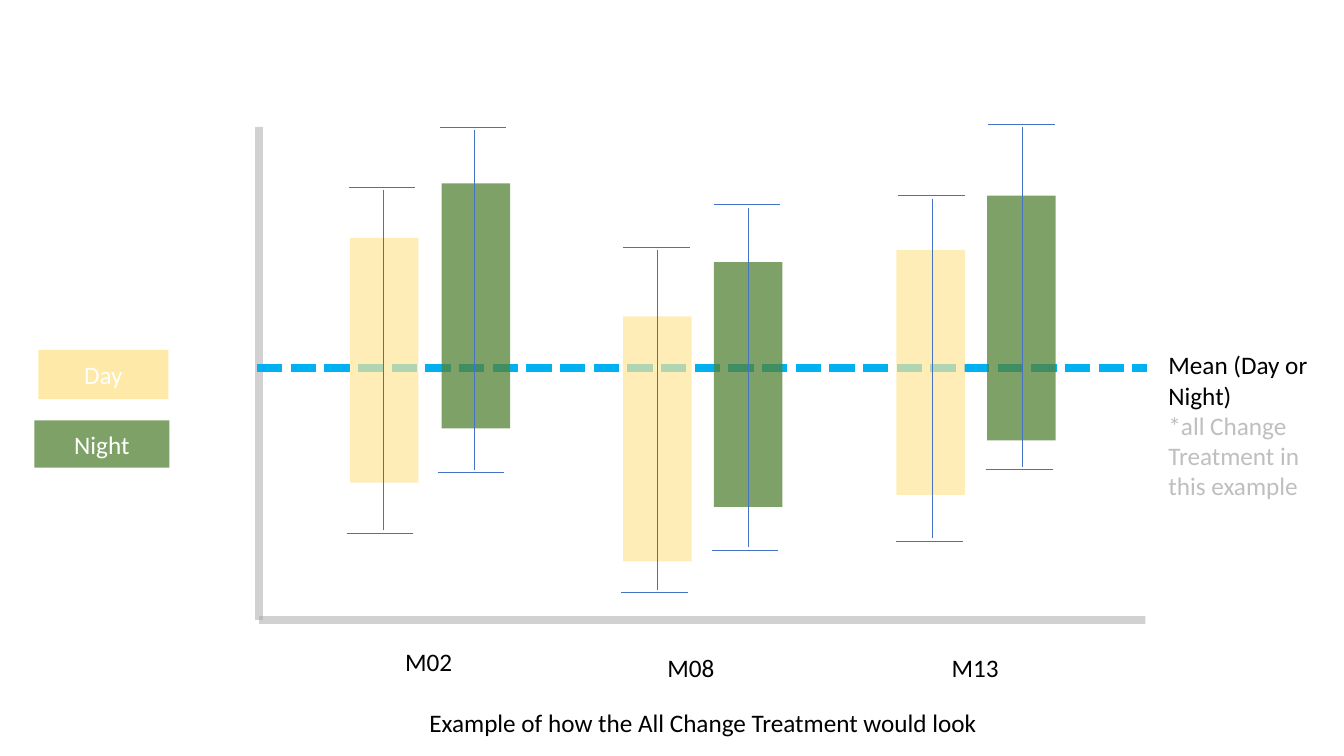
import dataclasses

import pptx
import pptx.dml.color
import pptx.enum.dml
import pptx.enum.shapes
import pptx.enum.text
import pptx.oxml
import pptx.oxml.ns
import pptx.util
from pptx.util import Inches


@dataclasses.dataclass(frozen=True)
class Theme:
    font: str = "Calibri"
    size: int = 18
    text: str = "000000"
    muted: str = "BFBFBF"
    inverse: str = "FFFFFF"
    day: str = "FFE699"
    night: str = "548235"
    axis: str = "A6A6A6"
    mean: str = "00B0F0"
    whisker: str = "4472C4"
    axis_width: float = 5.5
    mean_width: float = 6
    whisker_width: float = 0.5


THEME = Theme()
BAR_WIDTH, BAR_HEIGHT = 0.68, 2.43
WHISKER_HEIGHT = 3.37

# Bar left, bar top, colour, opacity, whisker centre, whisker top
BARS = [
    (3.47, 2.36, THEME.day, 69, 3.8, 1.89),
    (4.38, 1.82, THEME.night, 75, 4.7, 1.29),
    (6.18, 3.14, THEME.day, 69, 6.52, 2.48),
    (7.08, 2.6, THEME.night, 75, 7.42, 2.06),
    (8.89, 2.48, THEME.day, 69, 9.25, 1.97),
    (9.79, 1.94, THEME.night, 75, 10.14, 1.26),
]
MONTH_LABELS = [("M02", 3.92, 6.36), ("M08", 6.52, 6.42), ("M13", 9.34, 6.42)]


def rgb(color):
    return pptx.dml.color.RGBColor.from_string(color)


def set_opacity(sp, percent):
    """Apply opacity to every colour in the shape's own properties."""
    for color in sp.element.spPr.iter(pptx.oxml.ns.qn("a:srgbClr")):
        alpha = color.makeelement(pptx.oxml.ns.qn("a:alpha"), {"val": str(percent * 1000)})
        color.append(alpha)


def write(p, text, color=THEME.text, size=THEME.size, align=None):
    p.alignment = align
    r = p.add_run()
    r.text = text
    r.font.name = THEME.font
    r.font.size = pptx.util.Pt(size)
    r.font.color.rgb = rgb(color)


def add_line(shapes, start, end, color, width, dash=None, opacity=100):
    line = shapes.add_connector(
        pptx.enum.shapes.MSO_CONNECTOR.STRAIGHT,
        *(Inches(v) for v in (*start, *end)))
    line.line.color.rgb = rgb(color)
    line.line.width = pptx.util.Pt(width)
    if dash is not None:
        line.line.dash_style = dash
    if opacity < 100:
        set_opacity(line, opacity)
    pr = line.element.spPr
    pr.append(pr.makeelement(pptx.oxml.ns.qn("a:effectLst"), {}))


def add_box(shapes, left, top, width, height, color, opacity, label=None):
    sp = shapes.add_shape(
        pptx.enum.shapes.MSO_SHAPE.RECTANGLE,
        *(Inches(v) for v in (left, top, width, height)))
    sp.shadow.inherit = False
    sp.fill.solid()
    sp.fill.fore_color.rgb = rgb(color)
    sp.line.fill.background()
    set_opacity(sp, opacity)
    if label:
        tf = sp.text_frame
        tf.vertical_anchor = pptx.enum.text.MSO_ANCHOR.MIDDLE
        write(tf.paragraphs[0], label, color=THEME.inverse,
              align=pptx.enum.text.PP_ALIGN.CENTER)


def add_text(shapes, left, top, width, height, *lines):
    """Add a text box with one paragraph per (text, colour) line."""
    box = shapes.add_textbox(*(Inches(v) for v in (left, top, width, height)))
    tf = box.text_frame
    tf.word_wrap = True
    tf.auto_size = pptx.enum.text.MSO_AUTO_SIZE.SHAPE_TO_FIT_TEXT
    for i, (text, color) in enumerate(lines):
        p = tf.add_paragraph() if i else tf.paragraphs[0]
        write(p, text, color=color)


def add_whisker(shapes, x, top):
    """Group a vertical range line with its two end caps."""
    group = shapes.add_group_shape().shapes
    bottom = top + WHISKER_HEIGHT
    for start, end in [
        ((x, top), (x, bottom)),
        ((x - 0.34, top - 0.03), (x + 0.32, top - 0.03)),
        ((x - 0.36, bottom + 0.03), (x + 0.3, bottom + 0.03)),
    ]:
        add_line(group, start, end, THEME.whisker, THEME.whisker_width)


def add_mean(shapes):
    group = shapes.add_group_shape().shapes
    add_line(group, (2.55, 3.65), (11.38, 3.65), THEME.mean, THEME.mean_width,
             dash=pptx.enum.dml.MSO_LINE.SQUARE_DOT)
    add_text(group, 11.49, 3.42, 1.77, 1.62,
             ("Mean (Day or Night)", THEME.text),
             ("*all Change Treatment in this example", THEME.muted))


def main():
    prs = pptx.Presentation()
    prs.slide_width, prs.slide_height = Inches(13.33), Inches(7.5)
    s = prs.slides.add_slide(prs.slide_layouts[6])
    shapes = s.shapes

    origin = (2.57, 6.15)
    for start, end in [((2.57, 1.26), origin), ((11.36, 6.15), origin)]:
        add_line(shapes, start, end, THEME.axis, THEME.axis_width, opacity=51)
    add_mean(shapes)

    for left, top, color, opacity, *_ in BARS:
        add_box(shapes, left, top, BAR_WIDTH, BAR_HEIGHT, color, opacity)
    for month, left, top in MONTH_LABELS:
        add_text(shapes, left, top, 0.91, 0.4, (month, THEME.text))
    for *_, x, top in BARS:
        add_whisker(shapes, x, top)

    add_box(shapes, 0.38, 3.47, 1.29, 0.49, THEME.day, 85, label="Day")
    add_box(shapes, 0.34, 4.17, 1.34, 0.47, THEME.night, 75, label="Night")
    add_text(shapes, 4.16, 6.97, 7.43, 0.4,
             ("Example of how the All Change Treatment would look", THEME.text))
    prs.save("out.pptx")


if __name__ == "__main__":
    main()
